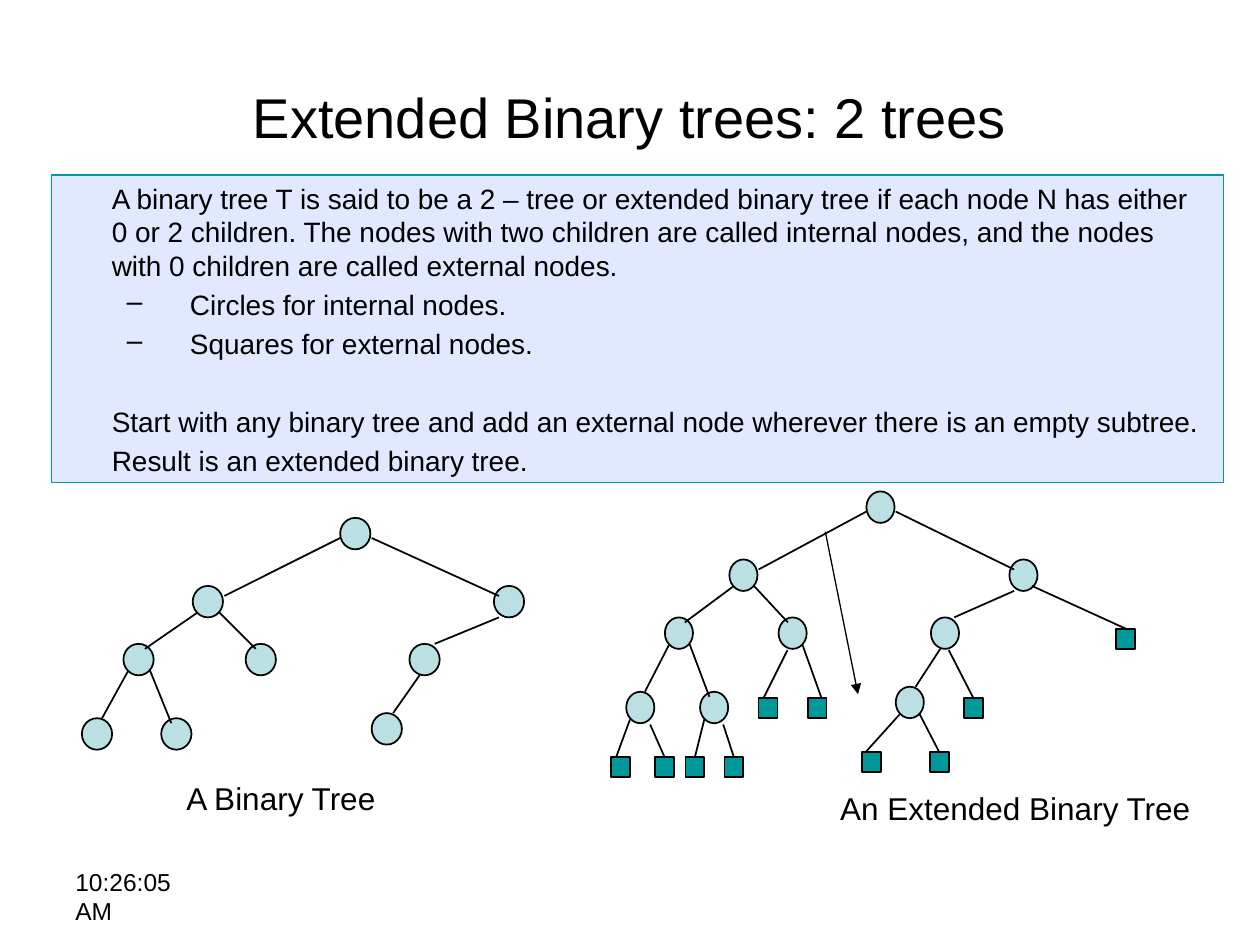
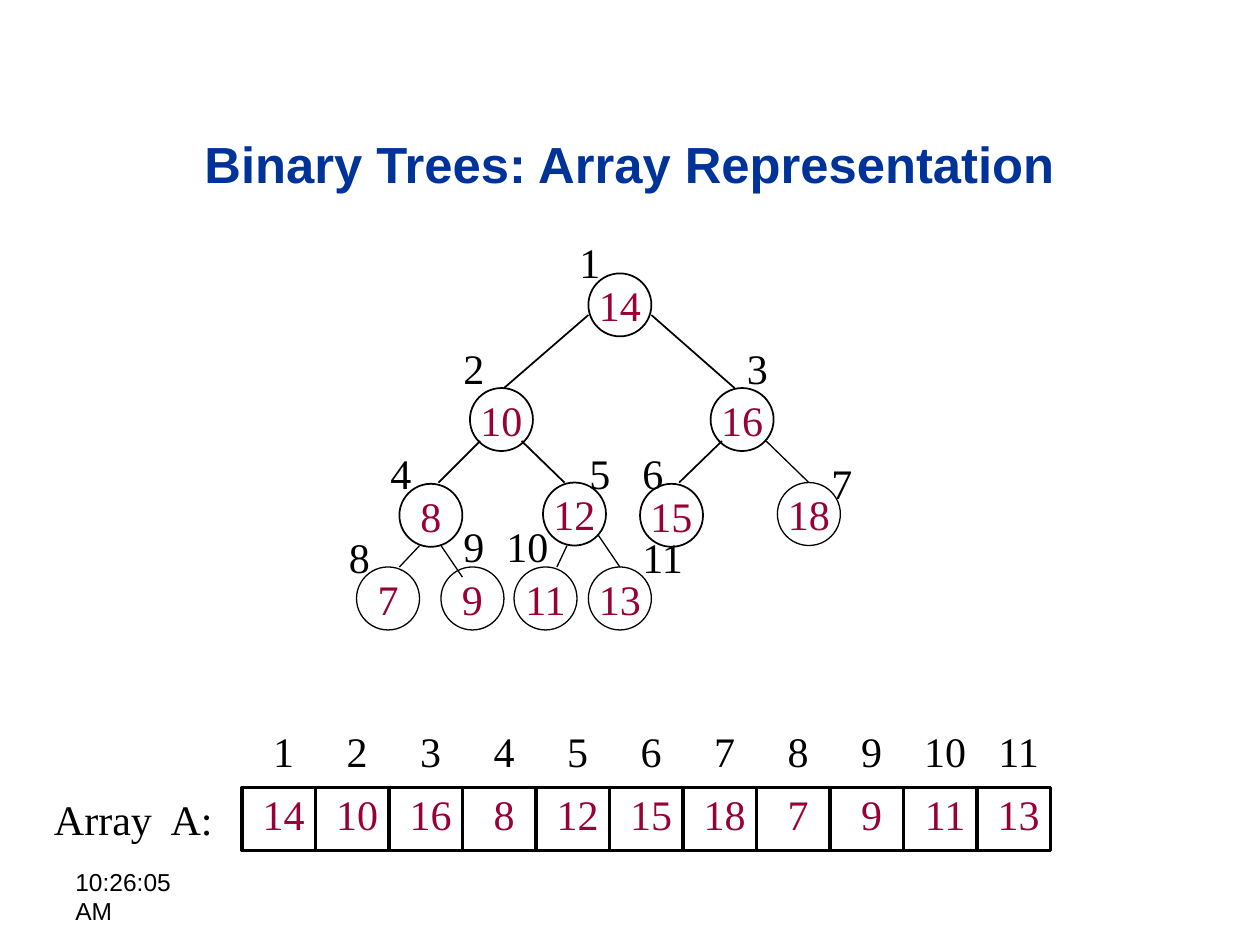
import pptx
import pptx.dml.color
import pptx.enum.shapes
import pptx.enum.text
import pptx.oxml.ns
import pptx.util
from lxml import etree

SHAPE = pptx.enum.shapes.MSO_SHAPE
ALIGN = pptx.enum.text.PP_ALIGN
ANCHOR = pptx.enum.text.MSO_ANCHOR
CM_PER_INCH = 2.54

COLOURS = {
    "black": "000000", "white": "FFFFFF", "title": "003399", "value": "990033",
    "panel": "E1E8FF", "teal": "009999", "node": "BBE0E3",
}
CLOCK = "10:26:05 AM"

# All places below are in inches: left, top (width, height).
# Paragraphs: text, is bullet, space before in points
DEFINITION = [
    ("A binary tree T is said to be a 2 – tree or extended binary tree if each node N has "
     "either 0 or 2 children. The nodes with two children are called internal nodes, and "
     "the nodes with 0 children are called external nodes.", False, 3.2),
    ("Circles for internal nodes.", True, 3.2),
    ("Squares for external nodes.", True, 3.2),
    ("Start with any binary tree and add an external node wherever there is an empty "
     "subtree.", False, 25),
    ("Result is an extended binary tree.", False, 3.2),
]

# The binary tree, measured at its own place; the extended tree reuses it narrower
TREE_LEFT, TREE_TOP = 0.65, 4.11
INTERNAL_SIZE = (0.24, 0.25)
INTERNAL_NODES = [
    (2.7, 4.11), (1.53, 4.65), (3.92, 4.65), (0.98, 5.11), (1.95, 5.11),
    (3.25, 5.11), (0.65, 5.7), (1.28, 5.7), (2.95, 5.66),
]
INTERNAL_EDGES = [
    ((2.7, 4.27), (1.78, 4.73)), ((2.95, 4.27), (3.96, 4.73)),
    ((1.57, 4.86), (1.15, 5.15)), ((1.74, 4.86), (2.03, 5.15)),
    ((3.96, 4.9), (3.45, 5.11)), ((1.02, 5.32), (0.81, 5.7)),
    ((1.19, 5.32), (1.36, 5.74)), ((3.33, 5.36), (3.12, 5.66)),
]
EXTENDED_LEFT, EXTENDED_TOP, EXTENDED_SCALE = 4.97, 3.9, 0.93

# External nodes: place, edge start, x where the edge meets the top
EXTERNAL_SIZE = (0.15, 0.16)
EXTERNAL_NODES = [
    ((6.02, 5.54), (6.25, 5.16), 6.06), ((6.41, 5.54), (6.37, 5.12), 6.52),
    ((7.65, 5.54), (7.53, 5.16), 7.73), ((8.86, 4.99), (8.19, 4.65), 8.93),
    ((4.85, 6.01), (5, 5.71), 4.89), ((5.2, 6.01), (5.16, 5.75), 5.28),
    ((5.44, 6.01), (5.59, 5.71), 5.51), ((5.75, 6.01), (5.74, 5.75), 5.82),
    ((6.84, 5.97), (7.14, 5.67), 6.87), ((7.38, 5.97), (7.3, 5.67), 7.46),
]

# Numbered nodes in array order: value, circle place, index place, edge to the parent
CIRCLE_SIZE = (0.5, 0.5)
INDEX_SIZE = (0.7, 0.5)
ARRAY_NODES = [
    (14, (4.67, 2.17), (4.5, 1.83), None),
    (10, (3.73, 3.08), (3.58, 2.67), ((4, 3.08), (4.67, 2.5))),
    (16, (5.64, 3.08), (5.83, 2.67), ((5.83, 3.08), (5.17, 2.5))),
    (8, (3.17, 3.84), (3, 3.5), ((3.48, 3.83), (3.81, 3.5))),
    (12, (4.31, 3.83), (4.58, 3.5), ((4.48, 3.83), (4.14, 3.5))),
    (15, (5.08, 3.84), (5, 3.5), ((5.39, 3.83), (5.73, 3.5))),
    (18, (6.17, 3.83), (6.5, 3.58), ((6.42, 3.83), (6.08, 3.5))),
    (7, (2.83, 4.5), (2.67, 4.17), ((3.17, 4.5), (3.33, 4.33))),
    (9, (3.5, 4.5), (3.58, 4.08), ((3.67, 4.58), (3.5, 4.33))),
    (11, (4.08, 4.5), (3.92, 4.08), ((4.42, 4.5), (4.5, 4.33))),
    (13, (4.67, 4.5), (5, 4.17), ((4.92, 4.5), (4.75, 4.25))),
]
THICK_NODES = 6
CELL_LEFT, CELL_TOP, CELL_WIDTH, CELL_HEIGHT = 1.92, 6.25, 7 / 12, 0.5
INDEX_TOP = 5.71
TEXT_SHIFT = 0.04


def lengths(*inches):
    return [pptx.util.Cm(value * CM_PER_INCH) for value in inches]


def colour(name):
    return pptx.dml.color.RGBColor.from_string(COLOURS[name])


def format_text(shape, size, font="Arial", ink="black", bold=False, align=ALIGN.LEFT):
    for paragraph in shape.text_frame.paragraphs:
        paragraph.alignment = align
        for run in paragraph.runs:
            run.font.name = font
            run.font.size = pptx.util.Pt(size)
            run.font.bold = bold
            run.font.color.rgb = colour(ink)


def add_text(slide, text, box, size, wrap=True, anchor=ANCHOR.TOP, **style):
    shape = slide.shapes.add_textbox(*lengths(*box))
    shape.text_frame.word_wrap = wrap
    shape.text_frame.vertical_anchor = anchor
    shape.text_frame.text = text
    format_text(shape, size, **style)


def add_number(shape, text):
    """Centre an array value in its circle or cell."""
    frame = shape.text_frame
    frame.margin_left = frame.margin_right = frame.margin_top = frame.margin_bottom = 0
    frame.word_wrap = False
    frame.vertical_anchor = ANCHOR.MIDDLE
    frame.text = str(text)
    format_text(shape, 24, "Times New Roman", "value", align=ALIGN.CENTER)


def add_outlined(slide, kind, place, size, fill=None, line="black", width=1):
    shape = slide.shapes.add_shape(kind, *lengths(*place, *size))
    shape.shadow.inherit = False
    if fill:
        shape.fill.solid()
        shape.fill.fore_color.rgb = colour(fill)
    else:
        shape.fill.background()
    shape.line.color.rgb = colour(line)
    shape.line.width = pptx.util.Pt(width)
    return shape


def add_line(slide, start, end, width=1, arrow=False):
    line = slide.shapes.add_connector(
        pptx.enum.shapes.MSO_CONNECTOR.STRAIGHT, *lengths(*start, *end))
    line.line.color.rgb = colour("black")
    line.line.width = pptx.util.Pt(width)
    if arrow:
        etree.SubElement(line.line._get_or_add_ln(),
                         pptx.oxml.ns.qn("a:tailEnd"), type="triangle")
    etree.SubElement(line._element.spPr, pptx.oxml.ns.qn("a:effectLst"))
    return line


def add_slide(presentation, title, box, size, **style):
    """Add a blank slide with the shared clock and a centred title."""
    slide = presentation.slides.add_slide(presentation.slide_layouts[6])
    add_text(slide, CLOCK, (0.5, 6.83, 1.26, 0.52), 14)
    add_text(slide, title, box, size, anchor=ANCHOR.MIDDLE, align=ALIGN.CENTER, **style)
    return slide


def add_definition(slide):
    panel = add_outlined(slide, SHAPE.RECTANGLE, (0.41, 1.39), (9.3, 2.44),
                         "panel", "teal", 0.75)
    frame = panel.text_frame
    frame.word_wrap = True
    frame.vertical_anchor = ANCHOR.TOP
    frame.text = "\n".join(text for text, _, _ in DEFINITION)
    format_text(panel, 16)
    for paragraph, (_, bullet, space) in zip(frame.paragraphs, DEFINITION):
        paragraph.space_before = pptx.util.Pt(space)
        margin, indent = lengths(1, -0.5) if bullet else lengths(0.38, 0)
        properties = paragraph._p.get_or_add_pPr()
        properties.set("marL", str(margin))
        properties.set("indent", str(indent))
        if bullet:
            etree.SubElement(properties, pptx.oxml.ns.qn("a:buChar"), char="–")


def add_internal_tree(slide, left, top, scale=1):
    def moved(point):
        return left + (point[0] - TREE_LEFT) * scale, top + point[1] - TREE_TOP

    width, height = INTERNAL_SIZE
    for place in INTERNAL_NODES:
        add_outlined(slide, SHAPE.OVAL, moved(place), (width * scale, height), "node")
    for start, end in INTERNAL_EDGES:
        add_line(slide, moved(start), moved(end))


def add_external_nodes(slide):
    for place, start, meeting in EXTERNAL_NODES:
        square = add_outlined(slide, SHAPE.RECTANGLE, place, EXTERNAL_SIZE, "teal")
        edge = add_line(slide, start, (meeting, place[1]))
        if abs(place[0] + EXTERNAL_SIZE[0] / 2 - meeting) < 0.02:
            edge.end_connect(square, 0)


def build_extended_slide(presentation):
    slide = add_slide(presentation, "Extended Binary trees: 2 trees", (0.5, 0.3, 9, 1.25), 32)
    add_definition(slide)
    add_internal_tree(slide, TREE_LEFT, TREE_TOP)
    add_text(slide, "A Binary Tree", (1.38, 6.13, 1.81, 0.4), 18)
    add_internal_tree(slide, EXTENDED_LEFT, EXTENDED_TOP, EXTENDED_SCALE)
    add_external_nodes(slide)
    add_text(slide, "An Extended Binary Tree", (6.57, 6.21, 3.05, 0.4), 18)
    add_line(slide, (6.55, 4.22), (6.81, 5.51), 0.75, arrow=True)


def build_array_slide(presentation):
    slide = add_slide(presentation, "Binary Trees: Array Representation",
                      (0, 0.67, 10, 1.25), 29, ink="title", bold=True)
    serif = {"size": 24, "font": "Times New Roman"}
    for index, (value, place, label_place, edge) in enumerate(ARRAY_NODES, 1):
        thick = index <= THICK_NODES
        circle = add_outlined(slide, SHAPE.OVAL, place, CIRCLE_SIZE,
                              "white" if thick else None, width=1 if thick else 0.75)
        add_number(circle, value)
        add_text(slide, str(index), (*label_place, *INDEX_SIZE), **serif)
        if edge:
            add_line(slide, *edge, width=1 if thick else 0.75)

        left = CELL_LEFT + (index - 1) * CELL_WIDTH
        cell = add_outlined(slide, SHAPE.RECTANGLE, (left, CELL_TOP),
                            (CELL_WIDTH, CELL_HEIGHT), width=2)
        add_number(cell, value)
        cell.text_frame.margin_left, cell.text_frame.margin_bottom = lengths(
            2 * TEXT_SHIFT, 2 * TEXT_SHIFT)
        index_left = left + TEXT_SHIFT + (CELL_WIDTH - INDEX_SIZE[0]) / 2
        add_text(slide, str(index), (index_left, INDEX_TOP, *INDEX_SIZE),
                 align=ALIGN.CENTER, **serif)
    add_text(slide, "Array  A:", (0.33, 6.25, 1.48, 0.5), wrap=False, **serif)


def main():
    presentation = pptx.Presentation()
    presentation.slide_width, presentation.slide_height = lengths(10, 7.5)
    build_extended_slide(presentation)
    build_array_slide(presentation)
    presentation.save("out.pptx")


if __name__ == "__main__":
    main()
